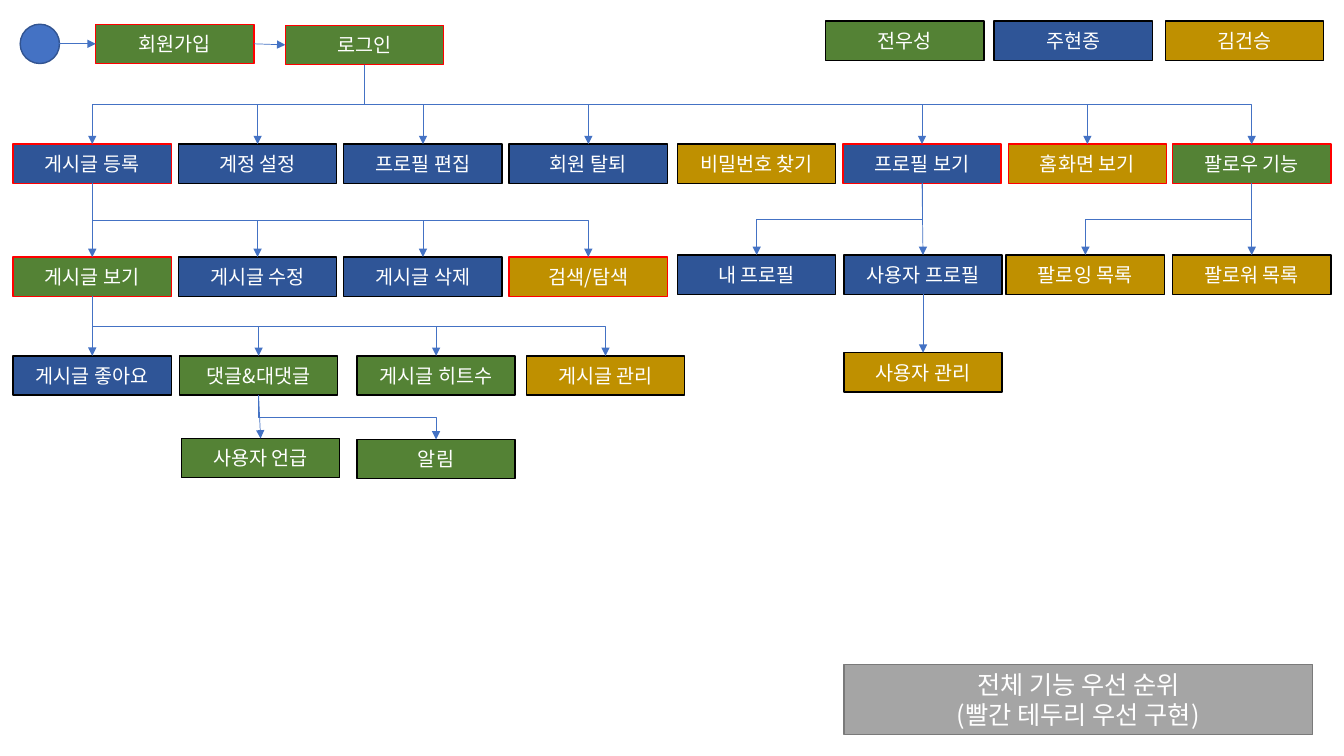
from pptx import Presentation
from pptx.dml.color import RGBColor
from pptx.enum.shapes import MSO_CONNECTOR, MSO_SHAPE
from pptx.enum.text import MSO_ANCHOR, PP_ALIGN
from pptx.oxml.ns import qn
from pptx.util import Pt
from lxml.etree import SubElement

PX = 9144  # EMU per px, 100 px to the inch
FONT = "Noto Sans CJK KR"
GREEN, BLUE, GOLD = "548235", "2F5597", "BF9000"
RED, BLACK, WHITE = "FF0000", "000000", "FFFFFF"
LINK_COLOUR = "4472C4"
NODE_WIDTH, NODE_HEIGHT = 157, 39
COLUMN = 164
TOP, LEFT, BOTTOM, RIGHT = range(4)  # connection sites of a rectangle
CIRCLE_RIGHT = 6  # an ellipse has eight sites

# Each node: text, left, top, fill, outline; places are relative to the region
START_NODES = [
    ("회원가입", 75, 0, GREEN, RED),
    ("로그인", 263, 1, GREEN, RED),
]
LEGEND_NODES = [
    ("전우성", 0, 0, GREEN, BLACK),
    ("주현종", 167, 0, BLUE, BLACK),
    ("김건승", 337, 0, GOLD, BLACK),
]
POST_NODES = [
    ("게시글 등록", 0, 0, BLUE, RED),
    ("계정 설정", COLUMN, 0, BLUE, BLACK),
    ("프로필 편집", 2 * COLUMN, 0, BLUE, BLACK),
    ("회원 탈퇴", 3 * COLUMN, 0, BLUE, BLACK),
    ("게시글 보기", 0, 112, GREEN, RED),
    ("게시글 수정", COLUMN, 112, BLUE, BLACK),
    ("게시글 삭제", 2 * COLUMN, 112, BLUE, BLACK),
    ("검색/탐색", 3 * COLUMN, 112, GOLD, RED),
    ("게시글 좋아요", 0, 210, BLUE, BLACK),
    ("댓글&대댓글", 165, 210, GREEN, BLACK),
    ("게시글 히트수", 341, 210, GREEN, BLACK),
    ("게시글 관리", 509, 210, GOLD, BLACK),
    ("사용자 언급", 167, 292, GREEN, BLACK),
    ("알림", 341, 293, GREEN, BLACK),
]
PROFILE_NODES = [
    ("비밀번호 찾기", 0, 0, GOLD, BLACK),
    ("프로필 보기", COLUMN, 0, BLUE, RED),
    ("홈화면 보기", 2 * COLUMN, 0, GOLD, RED),
    ("팔로우 기능", 3 * COLUMN - 1, 0, GREEN, RED),
    ("내 프로필", 0, 110, BLUE, BLACK),
    ("사용자 프로필", COLUMN + 1, 110, BLUE, BLACK),
    ("팔로잉 목록", 2 * COLUMN - 2, 110, GOLD, BLACK),
    ("팔로워 목록", 3 * COLUMN - 1, 110, GOLD, BLACK),
    ("사용자 관리", COLUMN + 1, 207, GOLD, BLACK),
]
CHILDREN = {
    "로그인": ["게시글 등록", "계정 설정", "프로필 편집", "회원 탈퇴",
            "프로필 보기", "홈화면 보기", "팔로우 기능"],
    "게시글 등록": ["게시글 보기", "게시글 수정", "게시글 삭제", "검색/탐색"],
    "게시글 보기": ["게시글 좋아요", "댓글&대댓글", "게시글 히트수", "게시글 관리"],
    "댓글&대댓글": ["사용자 언급", "알림"],
    "프로필 보기": ["내 프로필", "사용자 프로필"],
    "사용자 프로필": ["사용자 관리"],
    "팔로우 기능": ["팔로잉 목록", "팔로워 목록"],
}


def colour(hex_string):
    return RGBColor.from_string(hex_string)


def add_block(slide, kind, box, fill, outline, text="", size=14):
    shape = slide.shapes.add_shape(kind, *(length * PX for length in box))
    shape.shadow.inherit = False
    shape.fill.solid()
    shape.fill.fore_color.rgb = colour(fill)
    shape.line.color.rgb = colour(outline)
    shape.line.width = Pt(1)
    if text:
        shape.text_frame.text = text
        shape.text_frame.vertical_anchor = MSO_ANCHOR.MIDDLE
        for paragraph in shape.text_frame.paragraphs:
            paragraph.alignment = PP_ALIGN.CENTER
            for run in paragraph.runs:
                run.font.size = Pt(size)
                run.font.color.rgb = colour(WHITE)
                run.font.name = FONT
                east_asian = SubElement(run.font._element, qn("a:ea"))
                east_asian.set("typeface", FONT)
    return shape


def add_nodes(slide, left, top, nodes):
    """Draw the nodes of one region and return their shapes by text."""
    return {
        text: add_block(slide, MSO_SHAPE.RECTANGLE,
                        (left + x, top + y, NODE_WIDTH, NODE_HEIGHT), fill, outline, text)
        for text, x, y, fill, outline in nodes
    }


def add_arrow(slide, kind, source, source_site, target, target_site):
    arrow = slide.shapes.add_connector(kind, 0, 0, 0, 0)
    arrow.begin_connect(source, source_site)
    arrow.end_connect(target, target_site)
    arrow.line.color.rgb = colour(LINK_COLOUR)
    arrow.line.width = Pt(0.5)
    SubElement(arrow.line._get_or_add_ln(), qn("a:tailEnd")).set("type", "triangle")
    SubElement(arrow._element.spPr, qn("a:effectLst"))
    return arrow


def turn_elbow_down(arrow):
    """Make an elbow leave and arrive vertically by rotating its frame."""
    to_right = arrow.end_x > arrow.begin_x
    center_x = (arrow.begin_x + arrow.end_x) // 2
    center_y = (arrow.begin_y + arrow.end_y) // 2
    arrow.width, arrow.height = arrow.height, arrow.width
    arrow.left = center_x - arrow.width // 2
    arrow.top = center_y - arrow.height // 2
    frame = arrow._element.spPr.find(qn("a:xfrm"))
    frame.set("rot", str((270 if to_right else 90) * 60000))
    frame.set("flipH", "1" if to_right else "0")


def link_parent(slide, parent, child):
    if abs(parent.left - child.left) <= 3 * PX:
        add_arrow(slide, MSO_CONNECTOR.STRAIGHT, parent, BOTTOM, child, TOP)
    else:
        turn_elbow_down(add_arrow(slide, MSO_CONNECTOR.ELBOW, parent, BOTTOM, child, TOP))


def draw_start(slide, left, top):
    circle = add_block(slide, MSO_SHAPE.OVAL, (left, top, 39, 39), LINK_COLOUR, "325491")
    nodes = add_nodes(slide, left, top, START_NODES)
    sign_up, login = nodes.values()
    first_arrow = add_arrow(slide, MSO_CONNECTOR.STRAIGHT, circle, RIGHT, sign_up, LEFT)
    first_arrow._element.find(".//" + qn("a:stCxn")).set("idx", str(CIRCLE_RIGHT))
    add_arrow(slide, MSO_CONNECTOR.STRAIGHT, sign_up, RIGHT, login, LEFT)
    return nodes


def draw_caption(slide, box):
    add_block(slide, MSO_SHAPE.RECTANGLE, box, "A5A5A5", "7A7A7A",
              "전체 기능 우선 순위\n(빨간 테두리 우선 구현)", 18)


def main():
    presentation = Presentation()
    presentation.slide_width = 1333 * PX
    presentation.slide_height = 750 * PX
    slide = presentation.slides.add_slide(presentation.slide_layouts[6])

    nodes = draw_start(slide, 20, 24)
    add_nodes(slide, 819, 21, LEGEND_NODES)
    nodes.update(add_nodes(slide, 13, 143, POST_NODES))
    nodes.update(add_nodes(slide, 672, 143, PROFILE_NODES))
    for parent, children in CHILDREN.items():
        for child in children:
            link_parent(slide, nodes[parent], nodes[child])
    draw_caption(slide, (837, 659, 465, 70))
    presentation.save("out.pptx")


if __name__ == "__main__":
    main()
